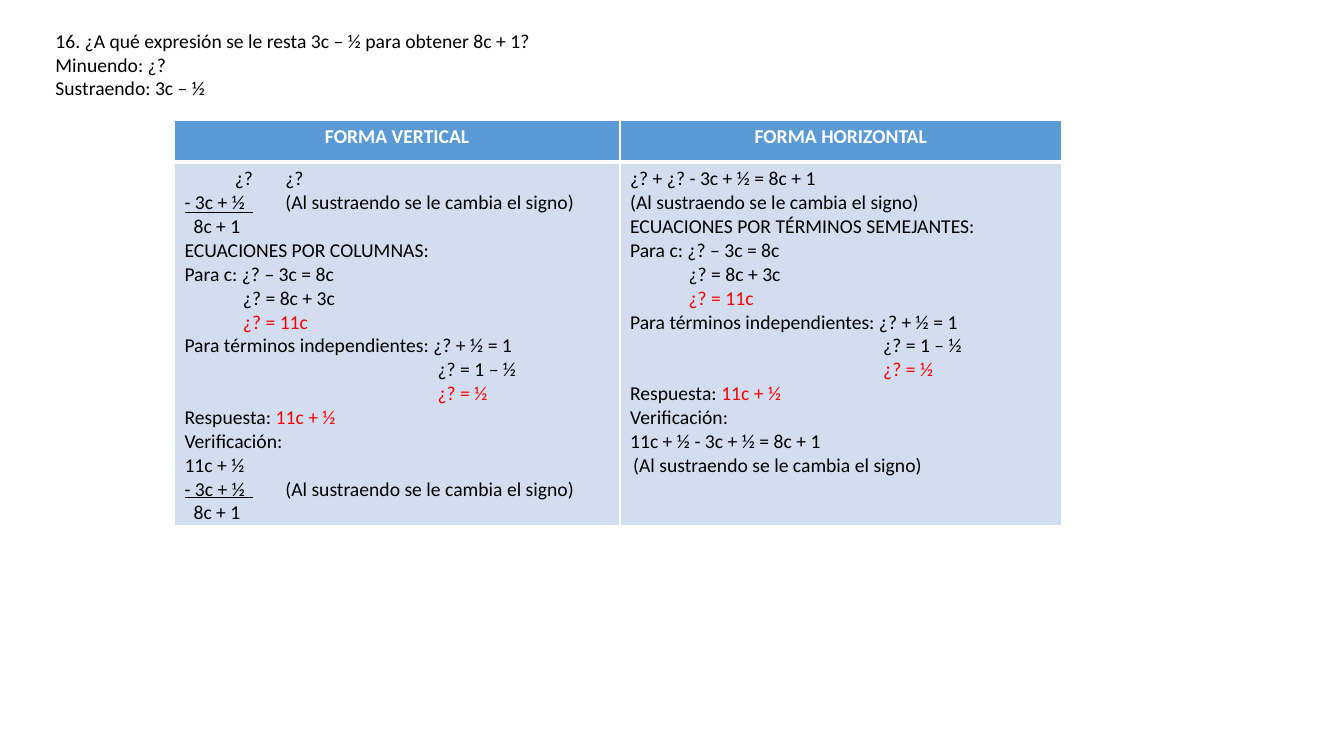
from lxml.etree import SubElement
from pptx import Presentation
from pptx.dml.color import RGBColor
from pptx.enum.shapes import MSO_CONNECTOR
from pptx.enum.text import MSO_ANCHOR, PP_ALIGN
from pptx.oxml.ns import qn
from pptx.util import Inches, Pt

BLACK = RGBColor(0x00, 0x00, 0x00)
WHITE = RGBColor(0xFF, 0xFF, 0xFF)
RED = RGBColor(0xFF, 0x00, 0x00)
HEADER_BLUE = RGBColor(0x5B, 0x9B, 0xD5)
BODY_BLUE = RGBColor(0xD2, 0xDE, 0xEF)

QUESTION = [
    "16. ¿A qué expresión se le resta 3c – ½ para obtener 8c + 1?",
    "Minuendo: ¿?",
    "Sustraendo: 3c – ½",
]
HEADERS = ["FORMA VERTICAL", "FORMA HORIZONTAL"]

NOTE = "(Al sustraendo se le cambia el signo)"
RESULT = {"indent": 0.09}
C_STEP = {"indent": 0.58}
FREE_STEP = {"indent": 2.51}
SOLUTION = [
    "Para c: ¿? – 3c = 8c",
    ("¿? = 8c + 3c", C_STEP),
    ("¿? = 11c", {**C_STEP, "red_from": 0}),
    "Para términos independientes: ¿? + ½ = 1",
    ("¿? = 1 – ½", FREE_STEP),
    ("¿? = ½", {**FREE_STEP, "red_from": 0}),
    ("Respuesta: 11c + ½", {"red_from": len("Respuesta: ")}),
    "Verificación:",
]
VERTICAL = [
    ("\t¿?\t¿?", {"tabs": (0.09, 0.41)}),
    ("- 3c + ½\t" + NOTE, {"tabs": (0.78,)}),
    ("8c + 1", RESULT),
    "ECUACIONES POR COLUMNAS:",
    *SOLUTION,
    "11c + ½",
    ("- 3c + ½\t" + NOTE, {"tabs": (0.82,)}),
    ("8c + 1", RESULT),
]
HORIZONTAL = [
    "¿? + ¿? - 3c + ½ = 8c + 1",
    NOTE,
    "ECUACIONES POR TÉRMINOS SEMEJANTES:",
    *SOLUTION,
    "11c + ½ - 3c + ½ = 8c + 1",
    (NOTE, {"indent": 0.03}),
]

TABLE_LEFT, TABLE_TOP = 1.73, 1.19
COLUMN_WIDTHS = [4.42, 4.38]
ROW_HEIGHTS = [0.42, 3.6]
SUM_LEFT, SUM_WIDTH = 1.83, 0.68
SUM_TOPS = [2.11, 4.93]


def write_line(para, text, color=BLACK, bold=False, align=PP_ALIGN.LEFT,
               indent=0, tabs=(), red_from=None):
    props = para._p.get_or_add_pPr()
    props.set("marL", str(Inches(indent)))
    props.set("indent", "0")
    if tabs:
        stops = SubElement(props, qn("a:tabLst"))
        for stop in tabs:
            SubElement(stops, qn("a:tab"), pos=str(Inches(stop)), algn="l")
    para.alignment = align
    para.line_spacing = 1.0
    para.space_before = Pt(0)
    split = len(text) if red_from is None else red_from
    for part, part_color in ((text[:split], color), (text[split:], RED)):
        if part:
            span = para.add_run()
            span.text = part
            span.font.name = "Calibri"
            span.font.size = Pt(14)
            span.font.bold = bold
            span.font.color.rgb = part_color


def write_lines(frame, lines, **style):
    for number, line in enumerate(lines):
        text, options = (line, {}) if isinstance(line, str) else line
        para = frame.add_paragraph() if number else frame.paragraphs[0]
        write_line(para, text, **{**style, **options})


def set_borders(cell, bottom):
    props = cell._tc.get_or_add_tcPr()
    sides = (("lnL", 1), ("lnR", 1), ("lnT", 1), ("lnB", bottom))
    for place, (side, width) in enumerate(sides):
        border = props.makeelement(qn("a:" + side), {"w": str(Pt(width))})
        fill = SubElement(border, qn("a:solidFill"))
        SubElement(fill, qn("a:srgbClr"), val=str(WHITE))
        props.insert(place, border)


def fill_cell(cell, lines, fill, bottom, **style):
    cell.fill.solid()
    cell.fill.fore_color.rgb = fill
    set_borders(cell, bottom)
    write_lines(cell.text_frame, lines, **style)


def add_question(page):
    box = page.shapes.title
    box.left, box.top = Inches(0.45), Inches(0.24)
    box.width, box.height = Inches(9.91), Inches(0.81)
    box.text_frame.word_wrap = True
    box.text_frame.vertical_anchor = MSO_ANCHOR.TOP
    write_lines(box.text_frame, QUESTION)


def add_solutions(page):
    table = page.shapes.add_table(
        2, 2, Inches(TABLE_LEFT), Inches(TABLE_TOP),
        Inches(sum(COLUMN_WIDTHS)), Inches(sum(ROW_HEIGHTS))).table
    for row, height in zip(table.rows, ROW_HEIGHTS):
        row.height = Inches(height)
    for index, lines in enumerate((VERTICAL, HORIZONTAL)):
        table.columns[index].width = Inches(COLUMN_WIDTHS[index])
        fill_cell(table.cell(0, index), [HEADERS[index]], HEADER_BLUE, 3,
                  color=WHITE, bold=True, align=PP_ALIGN.CENTER)
        body = table.cell(1, index)
        body.margin_bottom = 0
        fill_cell(body, lines, BODY_BLUE, 1)


def add_sum_lines(page):
    for top in SUM_TOPS:
        rule = page.shapes.add_connector(
            MSO_CONNECTOR.STRAIGHT, Inches(SUM_LEFT), Inches(top),
            Inches(SUM_LEFT + SUM_WIDTH), Inches(top))
        rule.line.color.rgb = BLACK
        rule.line.width = Pt(0.5)
        SubElement(rule._element.spPr, qn("a:effectLst"))


def main():
    deck = Presentation()
    deck.slide_width, deck.slide_height = Inches(13.33), Inches(7.5)
    page = deck.slides.add_slide(deck.slide_layouts[5])
    add_question(page)
    add_solutions(page)
    add_sum_lines(page)
    deck.save("out.pptx")


if __name__ == "__main__":
    main()
